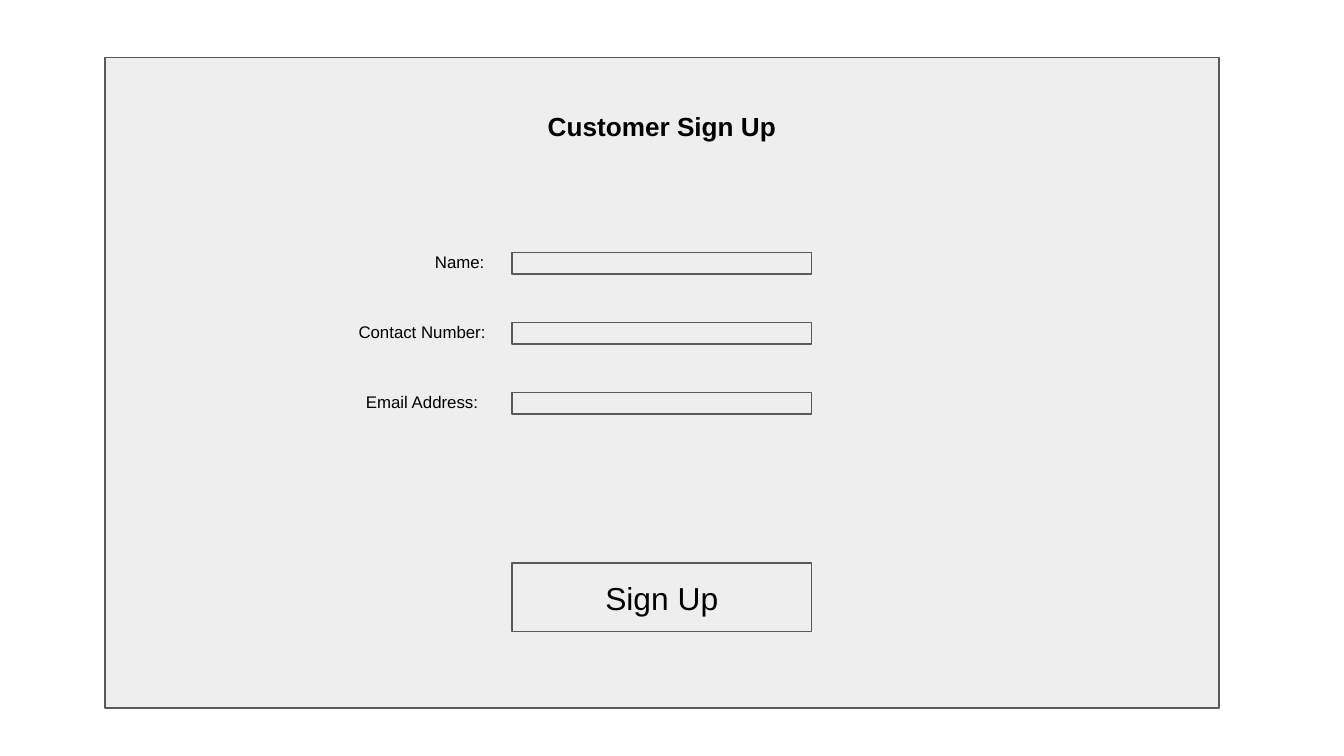
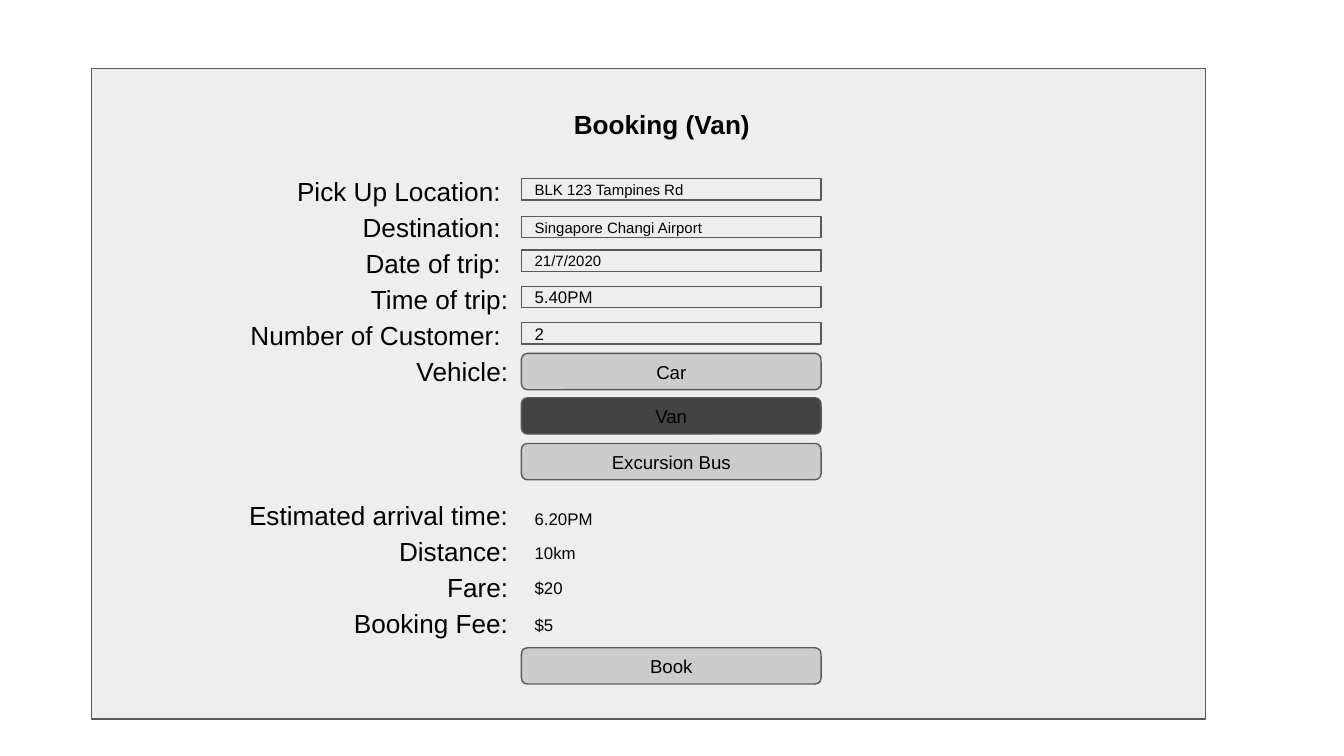
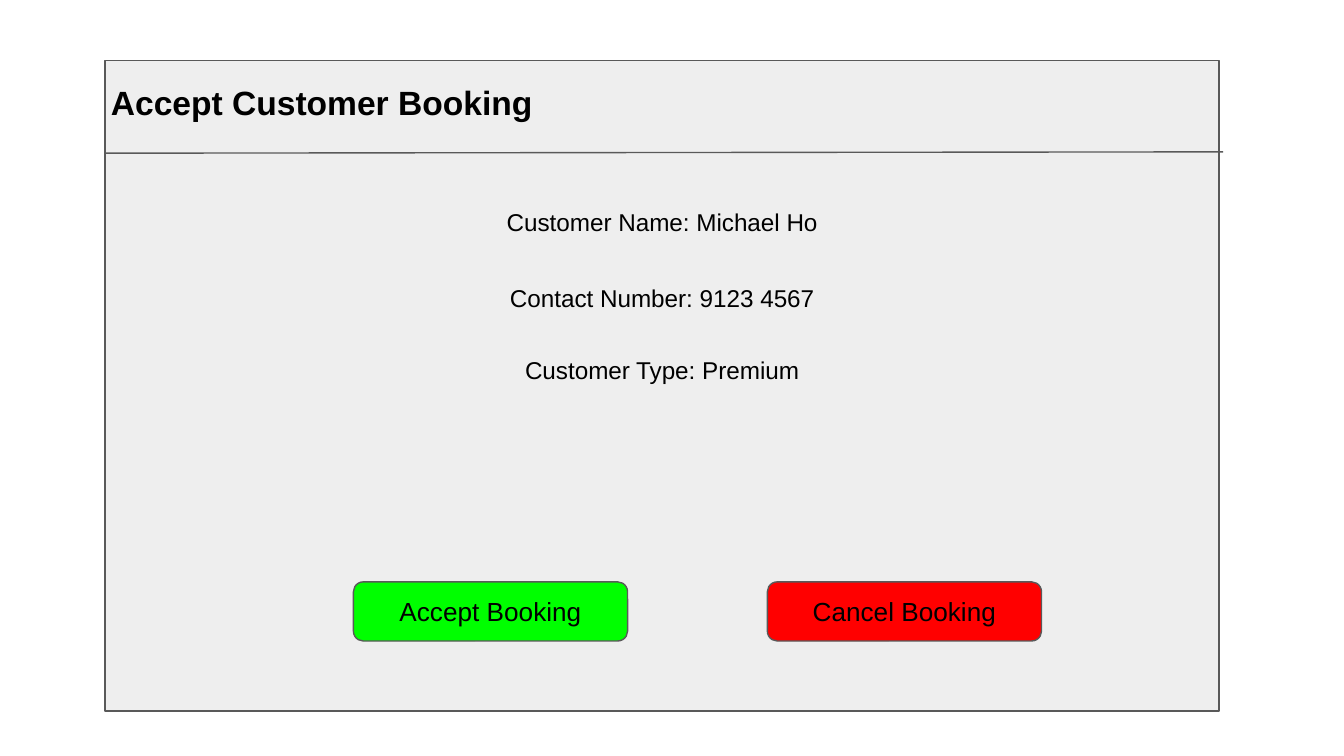
from lxml.etree import SubElement
from pptx import Presentation
from pptx.dml.color import RGBColor
from pptx.enum.shapes import MSO_CONNECTOR, MSO_SHAPE
from pptx.enum.text import MSO_ANCHOR, PP_ALIGN
from pptx.oxml.ns import qn
from pptx.util import Inches, Pt

# Shared look
FONT, INK, PANEL, EDGE = "Arial", "000000", "EEEEEE", "595959"
BUTTON, CHOSEN, ACCEPT, CANCEL = "CCCCCC", "434343", "00FF00", "FF0000"
LEFT, CENTER, RIGHT = PP_ALIGN.LEFT, PP_ALIGN.CENTER, PP_ALIGN.RIGHT
RECT, ROUND = MSO_SHAPE.RECTANGLE, MSO_SHAPE.ROUNDED_RECTANGLE
PANEL_LEFT, PANEL_W, PANEL_H = 0.78, 8.29, 4.84
FIELD_W, FIELD_H, BUTTON_H = 2.23, 0.16, 0.27


def color(value):
    return RGBColor.from_string(value)


def box(slide, left, top, width, height, text="", size=9, align=CENTER,
        bold=False, kind=None, fill=PANEL, edge=EDGE):
    """Place a text box, or a filled shape when a kind is given."""
    place = [Inches(n) for n in (left, top, width, height)]
    if kind is None:
        item = slide.shapes.add_textbox(*place)
    else:
        item = slide.shapes.add_shape(kind, *place)
        item.shadow.inherit = False
        item.fill.solid()
        item.fill.fore_color.rgb = color(fill)
        if edge:
            item.line.color.rgb = color(edge)
            item.line.width = Pt(0.75)
        else:
            item.line.fill.background()
    frame = item.text_frame
    frame.word_wrap = True
    frame.vertical_anchor = MSO_ANCHOR.MIDDLE if kind else MSO_ANCHOR.TOP
    frame.margin_left = frame.margin_right = Inches(0.1)
    frame.margin_top = frame.margin_bottom = Inches(0.1)
    frame.text = text
    for paragraph in frame.paragraphs:
        paragraph.alignment = align
        font = paragraph.font
        font.name, font.size, font.bold = FONT, Pt(size), bold
        font.color.rgb = color(INK)
    return item


prs = Presentation()
prs.slide_width, prs.slide_height = Inches(10), Inches(5.625)
sign_up, booking, accept = [prs.slides.add_slide(prs.slide_layouts[6]) for _ in range(3)]

# Panel behind each screen
for slide, left, top in ((sign_up, PANEL_LEFT, 0.43), (booking, 0.68, 0.51),
                         (accept, PANEL_LEFT, 0.45)):
    box(slide, left, top, PANEL_W, PANEL_H, kind=RECT)

# Customer sign up: title, three fields, button
FORM_LEFT, FORM_TOP, FORM_PITCH = 3.81, 1.88, 0.52
box(sign_up, 3.65, 0.72, 2.55, 0.76, "Customer Sign Up", 14, bold=True)
prompts = [("Name:", 3.12, 0.6), ("Contact Number:", 2.55, 1.18), ("Email Address:", 2.57, 1.14)]
for row, (prompt, left, width) in enumerate(prompts):
    top = FORM_TOP + row * FORM_PITCH
    box(sign_up, FORM_LEFT, top, FIELD_W, FIELD_H, kind=RECT)
    box(sign_up, left, top - 0.08, width, 0.33, prompt)
box(sign_up, FORM_LEFT, 4.19, FIELD_W, 0.51, "Sign Up", 17, kind=RECT)

# Booking: title and label column
ENTRY_LEFT = 3.88
box(booking, PANEL_LEFT, 0.71, PANEL_W, 0.46, "Booking (Van)", 14, bold=True)
trip_labels = ["Pick Up Location: ", "Destination: ", "Date of trip: ", "Time of trip:",
               "Number of Customer: ", "Vehicle:"]
cost_labels = ["Estimated arrival time:", "Distance:", "Fare:", "Booking Fee:"]
labels = box(booking, 1.57, 1.17, 2.31, 3.6, "\n".join(trip_labels + cost_labels), 14, RIGHT)
label_lines = labels.text_frame.paragraphs
for line in label_lines:
    line.line_spacing = 1.15
label_lines[len(trip_labels)].space_before = Pt(58)

# Booking: entries with an edge, results without
for top, entry, size, edge in (
        (1.33, "BLK 123 Tampines Rd", 8, EDGE), (1.61, "Singapore Changi Airport", 8, EDGE),
        (1.86, "21/7/2020", 8, EDGE), (2.13, "5.40PM", 9, EDGE), (2.4, "2", 9, EDGE),
        (3.78, "6.20PM", 9, None), (4.03, "10km", 9, None),
        (4.29, "$20", 9, None), (4.57, "$5", 9, None)):
    box(booking, ENTRY_LEFT, top, FIELD_W, FIELD_H, entry, size, LEFT, kind=RECT, edge=edge)

# Booking: vehicle choice and book button
for top, caption, fill in ((2.63, "Car", BUTTON), (2.96, "Van", CHOSEN),
                           (3.3, "Excursion Bus", BUTTON), (4.82, "Book", BUTTON)):
    box(booking, ENTRY_LEFT, top, FIELD_W, BUTTON_H, caption, 10, kind=ROUND, fill=fill)

# Accept booking: title and rule
box(accept, 0.66, 0.51, 3.47, 0.76, "Accept Customer Booking", 18, bold=True)
rule = accept.shapes.add_connector(MSO_CONNECTOR.STRAIGHT, Inches(PANEL_LEFT), Inches(1.14),
                                   Inches(9.1), Inches(1.13))
rule.line.color.rgb = color(EDGE)
rule.line.width = Pt(0.75)
SubElement(rule._element.spPr, qn("a:effectLst"))

# Accept booking: customer details and the two answers
for top, detail in ((1.44, "Customer Name: Michael Ho"), (2.01, "Contact Number: 9123 4567"),
                    (2.54, "Customer Type: Premium")):
    box(accept, 3.44, top, 2.97, 0.4, detail, 13)
for left, answer, fill in ((2.63, "Accept Booking", ACCEPT), (5.71, "Cancel Booking", CANCEL)):
    box(accept, left, 4.33, 2.04, 0.44, answer, 14, kind=ROUND, fill=fill)

prs.save("out.pptx")
